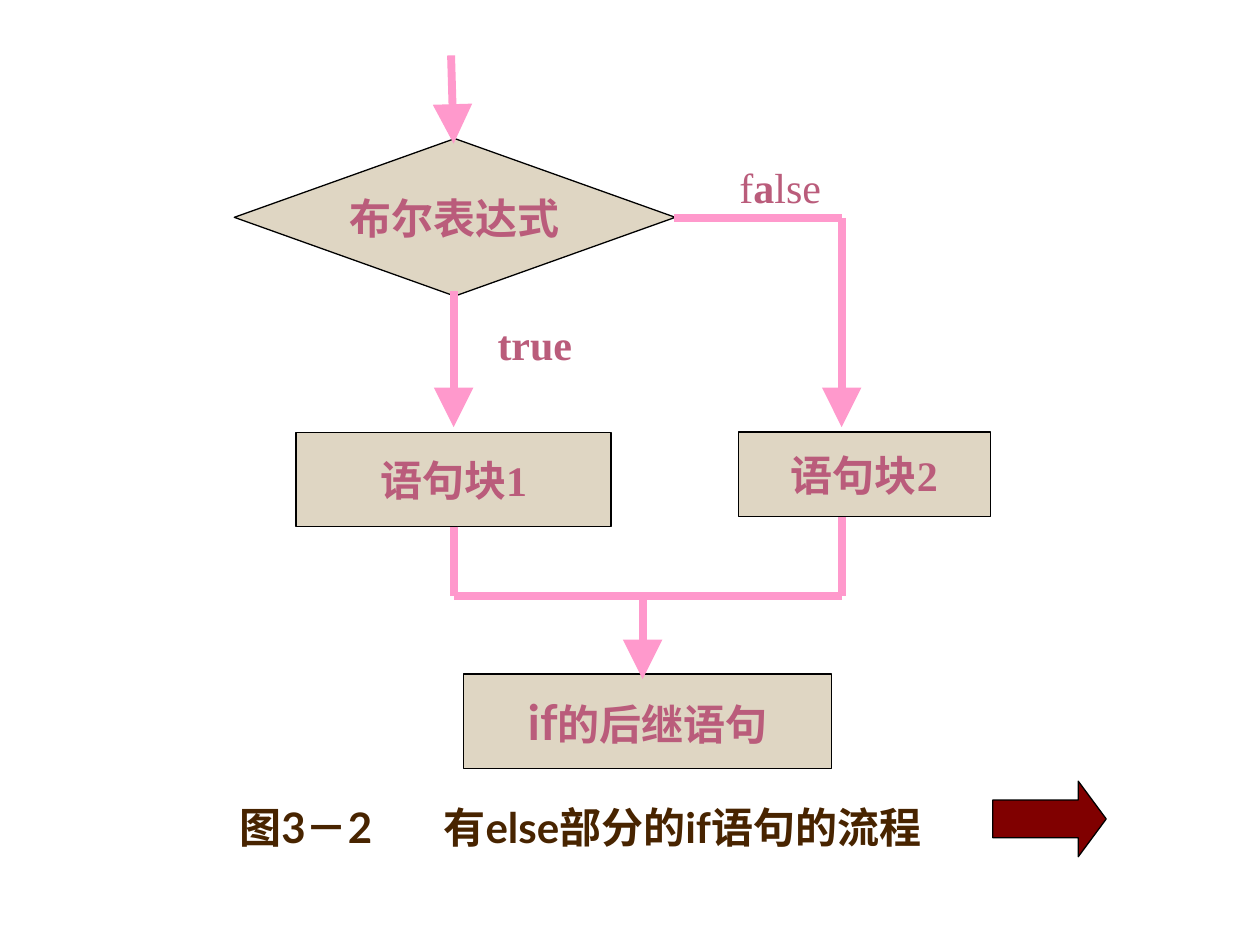
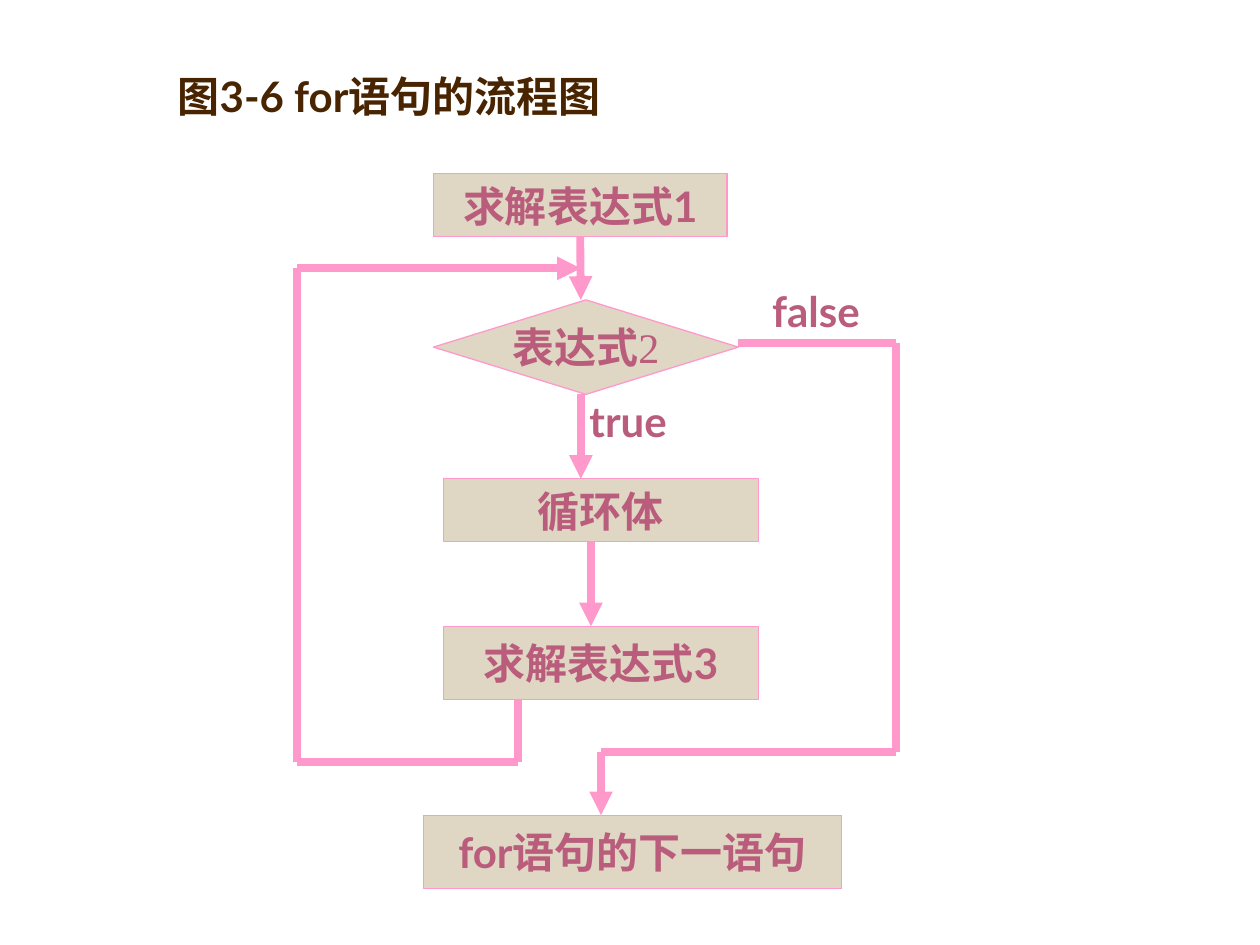
from dataclasses import dataclass
from itertools import pairwise
from typing import Optional

from lxml.etree import SubElement
from pptx import Presentation
from pptx.dml.color import RGBColor
from pptx.enum.shapes import MSO_CONNECTOR, MSO_SHAPE
from pptx.enum.text import MSO_ANCHOR, MSO_AUTO_SIZE, PP_ALIGN
from pptx.oxml.ns import qn
from pptx.util import Inches, Pt

SLIDE_WIDTH, SLIDE_HEIGHT = Inches(10), Inches(7.5)
COLUMN, ROW = SLIDE_WIDTH / 10, SLIDE_HEIGHT / 7.5
SAND, ROSE, PINK = "DFD6C3", "BA5C7B", "FF99CC"
BROWN, MAROON, BLACK = "482400", "800000", "000000"
SANS, SERIF = "Lato", "Times New Roman"
BOTTOM_SIDE = 2


@dataclass
class Span:
    """A stretch of text with its departures from the paragraph's font."""
    text: str
    font: Optional[str] = None
    size: Optional[int] = None
    bold: Optional[bool] = None


def colour(hex_string):
    """Turn a hex string into a colour."""
    return RGBColor.from_string(hex_string)


def grid(*lengths):
    """Turn alternating columns and rows into slide lengths."""
    return [round(length * (ROW if index % 2 else COLUMN))
            for index, length in enumerate(lengths)]


def write(para, spans, font, tint=ROSE, bold=True):
    """Fill a paragraph with spans over one base font."""
    para.font.name, para.font.size, para.font.bold = font, Pt(24), bold
    para.font.color.rgb = colour(tint)
    for span in spans:
        run = para.add_run()
        run.text = span.text
        if span.font:
            run.font.name = span.font
        if span.size:
            run.font.size = Pt(span.size)
        if span.bold is not None:
            run.font.bold = span.bold


def add_block(page, kind, place, fill, outline):
    """Add a filled preset shape with a thin outline."""
    block = page.shapes.add_shape(kind, *grid(*place))
    block.shadow.inherit = False
    block.fill.solid()
    block.fill.fore_color.rgb = colour(fill)
    block.line.color.rgb = colour(outline)
    block.line.width = Pt(0.75)
    return block


def add_step(page, place, spans, font, outline, kind=MSO_SHAPE.RECTANGLE):
    """Add a flowchart step with centred text."""
    step = add_block(page, kind, place, SAND, outline)
    frame = step.text_frame
    frame.word_wrap = False
    frame.vertical_anchor = MSO_ANCHOR.MIDDLE
    para = frame.paragraphs[0]
    para.alignment = PP_ALIGN.CENTER
    write(para, spans, font)
    return step


def add_decision(page, place, spans, outline):
    """Add a decision diamond."""
    return add_step(page, place, spans, SERIF, outline,
                    MSO_SHAPE.FLOWCHART_DECISION)


def add_label(page, place, spans, font, bold=True):
    """Add the label of a branch."""
    box = page.shapes.add_textbox(*grid(*place))
    box.text_frame.word_wrap = False
    box.text_frame.auto_size = MSO_AUTO_SIZE.SHAPE_TO_FIT_TEXT
    write(box.text_frame.paragraphs[0], spans, font, bold=bold)


def add_route(page, points, head=None, source=None):
    """Join points by straight lines, with a head of the given size at the end."""
    lines = []
    for start, end in pairwise(points):
        line = page.shapes.add_connector(
            MSO_CONNECTOR.STRAIGHT, *grid(*start, *end))
        line.line.color.rgb = colour(PINK)
        line.line.width = Pt(4.5)
        SubElement(line._element.spPr, qn("a:effectLst"))
        lines.append(line)
    if source:
        lines[0].begin_connect(source, BOTTOM_SIDE)
    if head:
        SubElement(lines[-1].line._get_or_add_ln(), qn("a:tailEnd"),
                   type="triangle", w=head, len=head)


def add_page(deck, title, place, tab=None):
    """Add a title-only page and set its caption."""
    page = deck.slides.add_slide(deck.slide_layouts[5])
    caption = page.shapes.title
    caption.left, caption.top, caption.width, caption.height = grid(*place)
    frame = caption.text_frame
    frame.word_wrap = True
    frame.auto_size = MSO_AUTO_SIZE.NONE
    frame.vertical_anchor = MSO_ANCHOR.BOTTOM
    para = frame.paragraphs[0]
    para.alignment = PP_ALIGN.LEFT
    if tab:
        stops = SubElement(para._p.get_or_add_pPr(), qn("a:tabLst"))
        SubElement(stops, qn("a:tab"), pos=str(round(tab * COLUMN)), algn="l")
    write(para, [Span(title)], SANS, BROWN)
    return page


def build_if_page(deck):
    """Draw the flow of an if statement with an else part."""
    true_x, false_x, exit_x, merge_y = 3.6, 6.68, 5.1, 4.73
    page = add_page(deck, "图3－2\t有else部分的if语句的流程",
                    (1.8, 6.31, 6.42, 0.5), tab=1.62)
    add_decision(page, (1.86, 1.1, 3.5, 1.25), [Span("布尔表达式")], BLACK)
    true_block = add_step(page, (2.35, 3.43, 2.5, 0.75), [Span("语句块1")],
                          SERIF, BLACK)
    add_step(page, (5.86, 3.43, 2, 0.67), [Span("语句块2")], SERIF, BLACK)
    add_step(page, (3.68, 5.35, 2.92, 0.75),
             [Span("if", SANS, 28), Span("的后继语句")], SERIF, BLACK)

    add_route(page, [(3.58, 0.44), (true_x, 1.14)], "lg")
    add_route(page, [(true_x, 2.31), (true_x, 3.39)], "lg")
    add_route(page, [(5.35, 1.73), (false_x, 1.73), (false_x, 3.39)], "lg")
    add_route(page, [(true_x, 4.18), (true_x, merge_y), (false_x, merge_y),
                     (false_x, 4.1)], source=true_block)
    add_route(page, [(exit_x, merge_y), (exit_x, 5.39)], "lg")

    add_label(page, (5.77, 1.23, 0.85, 0.5),
              [Span("f"), Span("a", bold=True), Span("lse")], SERIF, bold=False)
    add_label(page, (3.85, 2.48, 0.79, 0.5), [Span("true")], SERIF)
    next_arrow = add_block(page, MSO_SHAPE.RIGHT_ARROW, (7.88, 6.2, 0.9, 0.6),
                           MAROON, BLACK)
    next_arrow.adjustments[1] = 0.37


def build_for_page(deck):
    """Draw the flow of a for statement."""
    test_x, body_x, next_x = 4.61, 4.69, 4.77
    back_x, left_x, right_x = 4.11, 2.36, 7.11
    page = add_page(deck, "图3-6 for语句的流程图", (1.31, 0.51, 5.33, 0.5))
    first_step = add_step(page, (3.44, 1.38, 2.33, 0.5), [Span("求解表达式1")],
                          SANS, PINK)
    add_decision(page, (3.44, 2.38, 2.42, 0.75),
                 [Span("表达式"), Span("2", bold=False)], PINK)
    for place, text, font in (
            ((3.52, 3.8, 2.5, 0.5), "循环体", SERIF),
            ((3.52, 4.97, 2.5, 0.58), "求解表达式3", SANS),
            ((3.36, 6.47, 3.32, 0.58), "for语句的下一语句", SANS)):
        add_step(page, place, [Span(text)], font, PINK)

    add_route(page, [(test_x, 1.88), (test_x, 2.38)], "med", first_step)
    add_route(page, [(test_x, 3.13), (test_x, 3.8)], "med")
    add_route(page, [(body_x, 4.3), (body_x, 4.97)], "med")
    add_route(page, [(5.86, 2.72), (right_x, 2.72), (right_x, 5.97),
                     (next_x, 5.97), (next_x, 6.47)], "med")
    add_route(page, [(back_x, 5.55), (back_x, 6.05), (left_x, 6.05),
                     (left_x, 2.13), (test_x, 2.13)], "med")

    add_label(page, (6.03, 2.22, 0.99, 0.5), [Span("false")], SANS)
    add_label(page, (4.58, 3.09, 0.91, 0.5), [Span("true")], SANS)


def main():
    """Build and save the deck."""
    deck = Presentation()
    deck.slide_width, deck.slide_height = SLIDE_WIDTH, SLIDE_HEIGHT
    build_if_page(deck)
    build_for_page(deck)
    deck.save("out.pptx")


if __name__ == "__main__":
    main()
